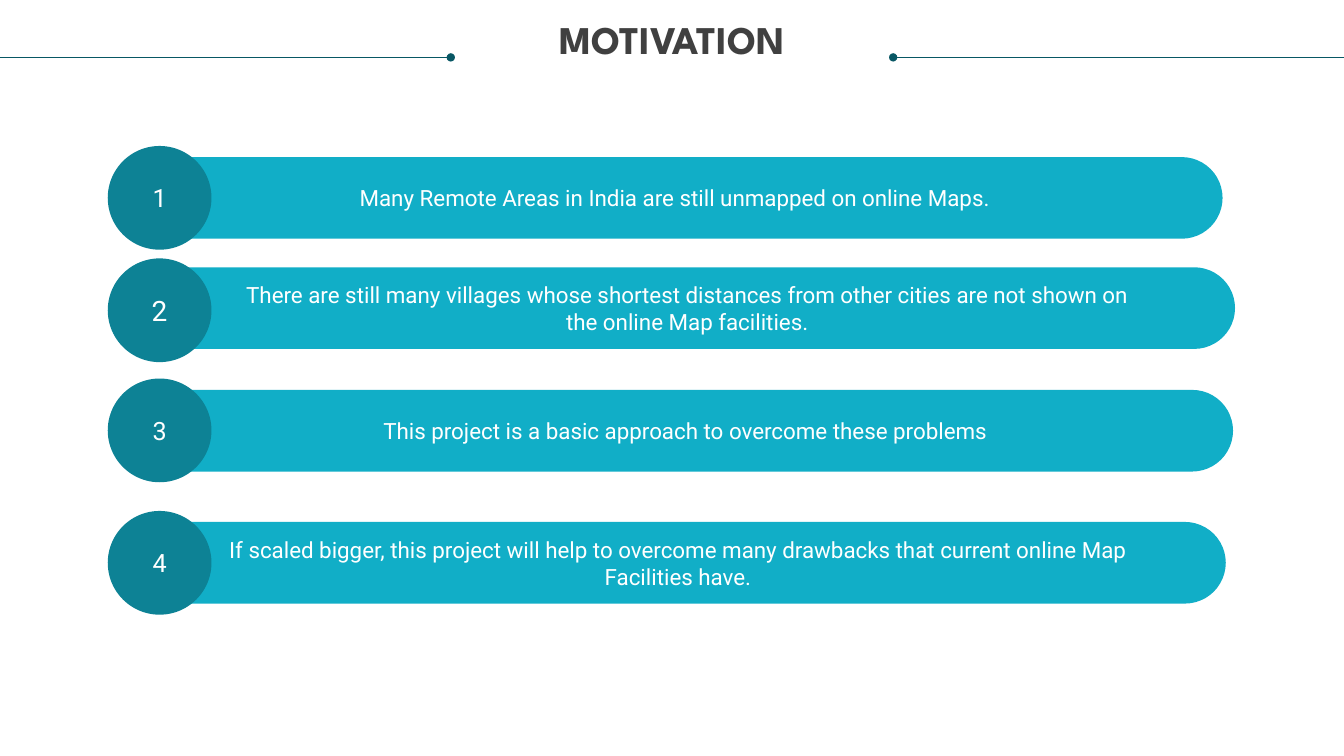
from pptx import Presentation
from pptx.dml.color import RGBColor
from pptx.enum.shapes import MSO_CONNECTOR, MSO_SHAPE
from pptx.enum.text import MSO_ANCHOR, MSO_AUTO_SIZE, PP_ALIGN
from pptx.oxml.ns import qn
from pptx.util import Pt
from lxml.etree import SubElement

DARK_TEAL = RGBColor(0x08, 0x57, 0x64)
TEAL = RGBColor(0x0D, 0x82, 0x95)
CYAN = RGBColor(0x11, 0xAE, 0xC7)
WHITE = RGBColor(0xFF, 0xFF, 0xFF)
CHARCOAL = RGBColor(0x40, 0x40, 0x40)

WIDTH, HEIGHT = 960, 540
RULE_Y, RULE_LENGTH = 41, 322
BAR_WIDTH, BAR_HEIGHT = 782.6, 58.3
BADGE_LEFT, BADGE_SIZE = 77, 74.1

# bar left, bar top, badge top, number size, reason
REASONS = [
    (90.7, 112.2, 104.3, 18,
     "Many Remote Areas in India are still unmapped on online Maps."),
    (99.6, 190.9, 184.6, 20,
     "There are still many villages whose shortest distances from other "
     "cities are not shown on\nthe online Map facilities."),
    (98.2, 278.5, 270.4, 18,
     "This project is a basic approach to overcome these problems"),
    (93, 372.8, 365, 18,
     "If scaled bigger, this project will help to overcome many drawbacks "
     "that current online Map\nFacilities have."),
]


def write(frame, text, **font_values):
    """Fill a text frame with centred paragraphs in the given font."""
    frame.text = text
    frame.word_wrap = True
    for paragraph in frame.paragraphs:
        paragraph.alignment = PP_ALIGN.CENTER
        color = font_values["color"]
        for run in paragraph.runs:
            run.font.color.rgb = color
            for key, value in font_values.items():
                if key != "color":
                    setattr(run.font, key, value)


def add_label(preset, box, fill, text, size):
    """Add a borderless filled shape with centred white text."""
    label = slide.shapes.add_shape(preset, *map(Pt, box))
    label.shadow.inherit = False
    label.fill.solid()
    label.fill.fore_color.rgb = fill
    label.line.fill.background()
    label.text_frame.vertical_anchor = MSO_ANCHOR.MIDDLE
    write(label.text_frame, text, name="Roboto", size=Pt(size), color=WHITE)
    return label


deck = Presentation()
deck.slide_width, deck.slide_height = Pt(WIDTH), Pt(HEIGHT)
slide = deck.slides.add_slide(deck.slide_layouts[5])

heading = slide.shapes.title
for key, value in {"left": 18, "top": 15, "width": 924, "height": 61}.items():
    setattr(heading, key, Pt(value))
heading_format = {"margin_left": 0, "margin_top": 0, "margin_right": 0,
                  "margin_bottom": 0, "vertical_anchor": MSO_ANCHOR.TOP,
                  "auto_size": MSO_AUTO_SIZE.NONE}
for key, value in heading_format.items():
    setattr(heading.text_frame, key, value)
write(heading.text_frame, "MOTIVATION", name="League Spartan", size=Pt(28),
      bold=True, color=CHARCOAL)
heading.text_frame.paragraphs[0].line_spacing = 0.9

# Rules run in from both slide edges and end in a dot beside the heading
for edge, dot in [(0, RULE_LENGTH), (WIDTH, WIDTH - RULE_LENGTH)]:
    rule = slide.shapes.add_connector(
        MSO_CONNECTOR.STRAIGHT, Pt(edge), Pt(RULE_Y), Pt(dot), Pt(RULE_Y))
    rule.line.color.rgb = DARK_TEAL
    rule.line.width = Pt(0.5)
    SubElement(rule.line._get_or_add_ln(), qn("a:tailEnd"), type="oval")
    SubElement(rule._element.spPr, qn("a:effectLst"))

for number, (bar_left, bar_top, badge_top, size, reason) in enumerate(REASONS, 1):
    bar = add_label(MSO_SHAPE.ROUNDED_RECTANGLE,
                    (bar_left, bar_top, BAR_WIDTH, BAR_HEIGHT), CYAN, reason, 16)
    bar.adjustments[0] = 0.5
    add_label(MSO_SHAPE.OVAL, (BADGE_LEFT, badge_top, BADGE_SIZE, BADGE_SIZE),
              TEAL, str(number), size)

deck.save("out.pptx")
